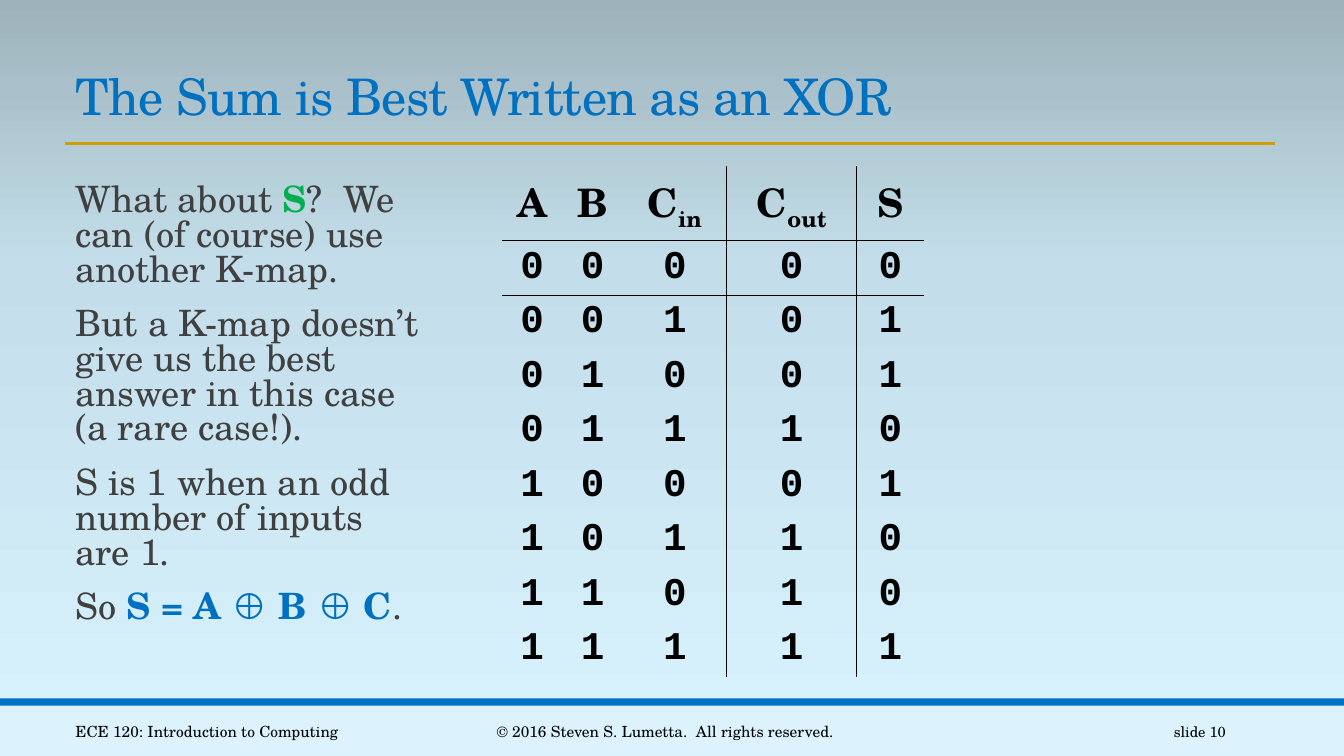
"""Builds a slide on the sum bit of a full adder, with its truth table."""
from copy import deepcopy
from itertools import product

from pptx import Presentation
from pptx.dml.color import RGBColor as Rgb
from pptx.enum.shapes import MSO_CONNECTOR as Link, MSO_SHAPE as Shape
from pptx.enum.text import MSO_ANCHOR as Anchor, MSO_AUTO_SIZE as Auto, PP_ALIGN as Align
from pptx.oxml.ns import qn
from pptx.oxml.xmlchemy import OxmlElement as Node
from pptx.util import Inches, Pt

HUES = {
    "blue": "0070C0", "green": "00B050", "gold": "D09E00", "grey": "404040",
    "black": "000000", "pale": "DCF3FD",
    "low": "DAF4FF", "mid": "C3DEEA", "high": "9DB2BA",
}
SERIF = "TeX Gyre Schola"
MONO = "Courier New"
COLS, ROWS = 40, 30
WIDE, HIGH = Inches(13.33), Inches(7.5)
NO_GRID = "{2D5ABB26-0587-4C30-8999-92F81FD0307C}"


def hue(name):
    return Rgb.from_string(HUES[name])


def put(para, text, size=28, color="black", bold=False, font=SERIF, base=0, space=0):
    for spot, line in enumerate(text.split("\n")):
        if spot:
            para.add_line_break()
            para._p[-1].append(deepcopy(run._r.rPr))
        run = para.add_run()
        run.text = line
        face = run.font
        face.size, face.bold, face.name = Pt(size), bold, font
        face.color.rgb = hue(color)
        if base:
            run._r.rPr.set("baseline", str(base * 1000))
        if space:
            run._r.rPr.set("spc", str(int(space * 100)))


class Deck:
    """Holds the style and the current slide, measured on a grid of 40 by 30."""

    def __init__(self):
        self.show = Presentation()
        self.show.slide_width, self.show.slide_height = WIDE, HIGH
        self.slide = self.show.slides.add_slide(self.show.slide_layouts[1])
        self.shapes = self.slide.shapes

    def grid(self, x, y, w, h):
        return [int(x * WIDE / COLS), int(y * HIGH / ROWS),
                int(w * WIDE / COLS), int(h * HIGH / ROWS)]

    def ground(self, stops):
        fill = self.slide.background.fill
        fill.gradient()
        fill.gradient_angle = 90
        marks = self.slide._element.find(".//" + qn("a:gsLst"))
        marks.append(deepcopy(marks[0]))
        for stop, (place, name) in zip(fill.gradient_stops, stops):
            stop.position = place
            stop.color.rgb = hue(name)

    def band(self, spot, color):
        bar = self.shapes.add_shape(Shape.RECTANGLE, *self.grid(*spot))
        bar.shadow.inherit = False
        bar.fill.solid()
        bar.fill.fore_color.rgb = hue(color)
        bar.line.fill.background()

    def rule(self, x, y, w, color, width):
        left, top, span, _ = self.grid(x, y, w, 0)
        line = self.shapes.add_connector(Link.STRAIGHT, left, top, left + span, top)
        line.line.color.rgb = hue(color)
        line.line.width = Pt(width)
        line._element.spPr.append(Node("a:effectLst"))

    def place(self, shape, spot):
        shape.left, shape.top, shape.width, shape.height = self.grid(*spot)
        frame = shape.text_frame
        frame.word_wrap, frame.auto_size = True, Auto.NONE
        return frame

    def title(self, spot, text):
        frame = self.place(self.shapes.title, spot)
        frame.vertical_anchor = Anchor.BOTTOM
        para = frame.paragraphs[0]
        para.alignment, para.line_spacing = Align.LEFT, 0.85
        put(para, text, size=36, color="blue", space=-0.5)

    def body(self, spot, paras):
        frame = self.place(self.slide.placeholders[1], spot)
        frame.margin_left = frame.margin_right = 0
        for index, parts in enumerate(paras):
            para = frame.add_paragraph() if index else frame.paragraphs[0]
            para.line_spacing = 0.8
            para.space_before, para.space_after = Pt(12), Pt(2)
            props = para._p.get_or_add_pPr()
            props.set("marL", str(Inches(0.1)))
            props.set("indent", "0")
            props.append(Node("a:buNone"))
            for text, color in parts:
                put(para, text, size=25.9, color=color, bold=color != "grey")

    def note(self, x, w, text, align, size=11):
        spot = x, 28.24, w, 1.6
        frame = self.place(self.shapes.add_textbox(*self.grid(*spot)), spot)
        frame.vertical_anchor = Anchor.MIDDLE
        frame.paragraphs[0].alignment = align
        put(frame.paragraphs[0], text, size=size)

    def edge(self, cell, side):
        line = Node("a:ln" + side)
        line.set("w", str(Pt(1)))
        fill, tint = Node("a:solidFill"), Node("a:srgbClr")
        tint.set("val", HUES["black"])
        fill.append(tint)
        line.append(fill)
        cell._tc.get_or_add_tcPr().append(line)

    def table(self, x, y, widths, heights, heads, bits, split):
        spot = self.grid(x, y, sum(widths), sum(heights))
        table = self.shapes.add_table(len(heights), len(widths), *spot).table
        table.first_row = table.horz_banding = False
        table._tbl.tblPr.find(qn("a:tableStyleId")).text = NO_GRID
        for col, width in zip(table.columns, widths):
            col.width = self.grid(0, 0, width, 0)[2]
        for row, height in zip(table.rows, heights):
            row.height = self.grid(0, 0, 0, height)[3]
        for r, line in enumerate([heads, *bits]):
            for c, value in enumerate(line):
                cell = table.cell(r, c)
                sides = {"L": c == split, "R": c == split - 1, "T": r == 1, "B": r == 0}
                for side, drawn in sides.items():
                    if drawn:
                        self.edge(cell, side)
                cell.fill.background()
                para = cell.text_frame.paragraphs[0]
                para.alignment = Align.CENTER
                if r:
                    put(para, str(value), bold=True, font=MONO)
                else:
                    name, _, sub = value.partition("_")
                    put(para, name, bold=True)
                    if sub:
                        put(para, sub, bold=True, base=-25)


def main():
    deck = Deck()
    deck.ground([(0, "low"), (0.65, "mid"), (1, "high")])
    deck.band((0, 28, COLS, 2), "pale")
    deck.band((0, 27.72, COLS, 0.28), "blue")
    deck.rule(1.95, 5.68, 36, "gold", 2)
    deck.title((1.95, 2.36, 36.03, 2.84), "The Sum is Best Written as an XOR")
    deck.body((1.95, 7.12, 25.56, 18.56), [
        [("What about ", "grey"), ("S", "green"),
         ("?  We \ncan (of course) use\nanother K-map.", "grey")],
        [("But a K-map doesn’t\ngive us the best\nanswer in this case\n(a rare case!).", "grey")],
        [("S is 1 when an odd\nnumber of inputs \nare 1.", "grey")],
        [("So ", "grey"), ("S = A ⊕ B ⊕ C", "blue"), (".", "grey")],
    ])
    deck.note(1.95, 9.75, "ECE 120: Introduction to Computing", Align.LEFT)
    deck.note(12.09, 15.42, "© 2016 Steven S. Lumetta.  All rights reserved.", Align.CENTER)
    deck.note(32.49, 4.29, "slide 10", Align.RIGHT, size=10.5)
    bits = [(*ins, sum(ins) // 2, sum(ins) % 2) for ins in product((0, 1), repeat=3)]
    deck.table(14.94, 6.6, [1.8, 1.8, 3.09, 3.87, 2.01], [2.96] + [2.16] * len(bits),
               ["A", "B", "C_in", "C_out", "S"], bits, split=3)
    deck.show.save("out.pptx")


if __name__ == "__main__":
    main()
